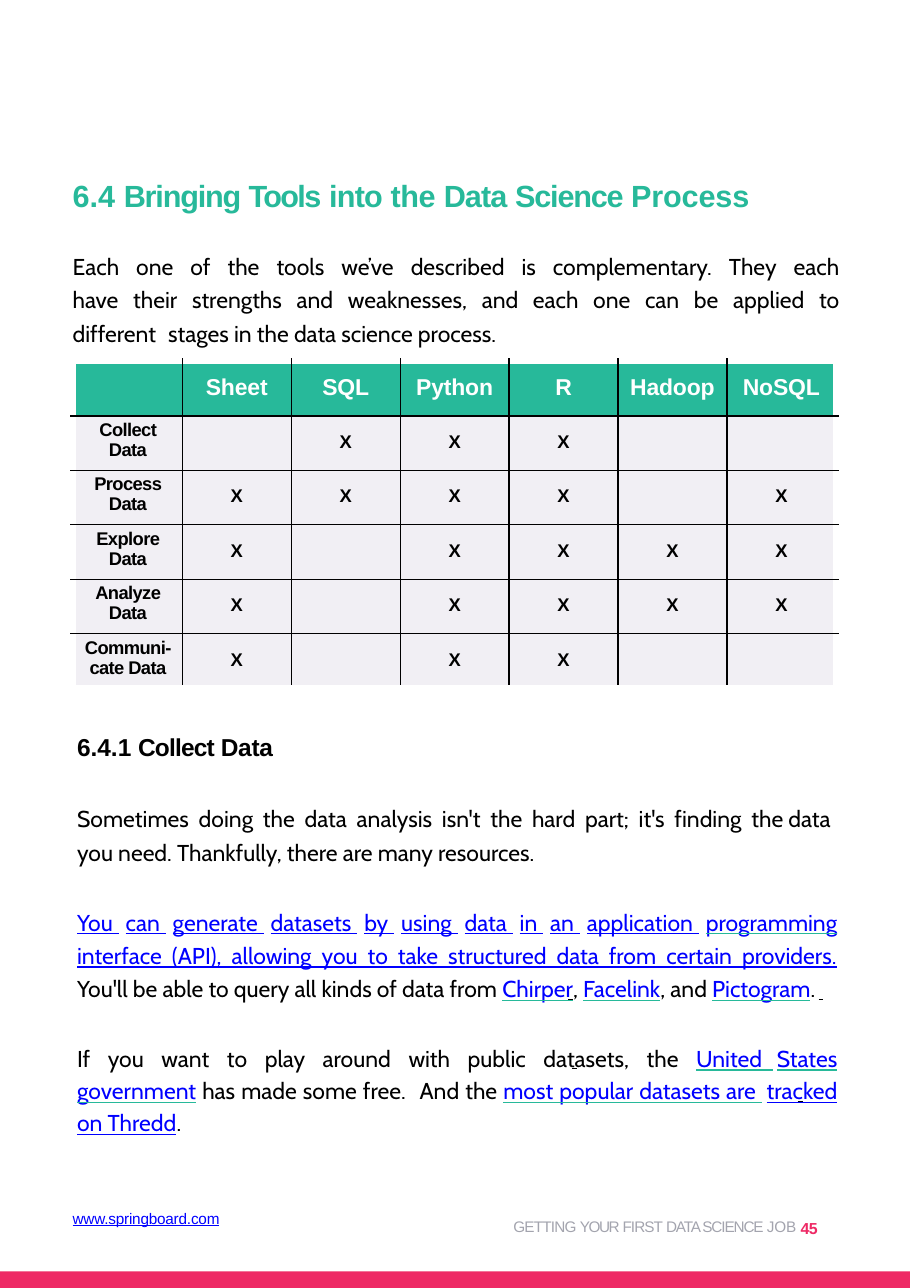
"""Build the handbook page about matching tools to the data science process."""
from dataclasses import dataclass

from lxml.etree import SubElement
from pptx import Presentation
from pptx.dml.color import RGBColor
from pptx.enum.shapes import MSO_CONNECTOR, MSO_SHAPE
from pptx.enum.text import PP_ALIGN
from pptx.oxml import parse_xml
from pptx.oxml.ns import nsdecls, qn
from pptx.util import Pt


@dataclass(frozen=True)
class Theme:
    teal: str = "27B99A"
    pink: str = "EE2965"
    black: str = "000000"
    white: str = "FFFFFF"
    link: str = "0000FF"
    cell: str = "F1EFF4"
    gray: str = "A3A4AE"
    heading_font: str = "Arial"
    body_font: str = "Cabin"
    title_size: float = 20
    subtitle_size: float = 16
    body_size: float = 15
    label_size: float = 12
    footer_size: float = 10
    page_number_size: float = 18


theme = Theme()


def style_paragraph(paragraph, font_name, size, color, bold=False):
    paragraph.font.name = font_name
    paragraph.font.size = Pt(size)
    paragraph.font.bold = bold
    paragraph.font.color.rgb = RGBColor.from_string(color)


def add_text(paragraph, text, spacing=0, gap=None, link=False, underline=None):
    pieces = [(text, spacing)]
    if gap is not None:
        pieces = []
        for index, word in enumerate(text.split(" ")):
            pieces += [(" ", gap)] if index else []
            pieces += [(word, spacing)] if word else []
    for piece, piece_spacing in pieces:
        run = paragraph.add_run()
        run.text = piece
        properties = run.font._element
        properties.set("spc", str(round(piece_spacing * 100)))
        if link:
            run.font.underline = True
            run.font.color.rgb = RGBColor.from_string(theme.link)
        if underline:
            fill = SubElement(SubElement(properties, qn("a:uFill")), qn("a:solidFill"))
            SubElement(fill, qn("a:srgbClr")).set("val", underline)


presentation = Presentation()
presentation.slide_width = Pt(594.72)
presentation.slide_height = Pt(841.68)
slide = presentation.slides.add_slide(presentation.slide_layouts[6])

footer_bar = slide.shapes.add_shape(MSO_SHAPE.RECTANGLE, 0, Pt(830.9), Pt(594.72), Pt(10.78))
footer_bar.shadow.inherit = False
footer_bar.fill.solid()
footer_bar.fill.fore_color.rgb = RGBColor.from_string(theme.pink)
footer_bar.line.fill.background()

frames = {}
for name, left, top, width, height, inset in [
    ("introduction", 47.5, 113.8, 501, 113, 1.5),
    ("collect", 50.4, 476.6, 496.8, 245, 1.5),
    ("page", 335.5, 787.7, 212, 18, 0),
    ("website", 47.5, 788.4, 103, 15, 1.5),
]:
    frame = slide.shapes.add_textbox(Pt(left), Pt(top), Pt(width), Pt(height)).text_frame
    frame.word_wrap = True
    frame.margin_left = frame.margin_right = frame.margin_bottom = 0
    frame.margin_top = Pt(inset)
    frames[name] = frame

title = frames["introduction"].paragraphs[0]
style_paragraph(title, theme.heading_font, theme.title_size, theme.teal, True)
for text, spacing in [("6.4 ", 0), ("Bringing ", -0.8), ("Tools", -1.1), (" into ", -0.5),
                      ("the ", -0.3), ("Data ", -0.6), ("Science ", -0.8), ("Process", -0.1)]:
    add_text(title, text, spacing)

subtitle = frames["collect"].paragraphs[0]
style_paragraph(subtitle, theme.heading_font, theme.subtitle_size, theme.black, True)
for text, spacing in [("6.4.1 ", 0), ("Collect ", -0.5), ("Data", -0.2)]:
    add_text(subtitle, text, spacing)

linked = {"link": True}
teal_link = {"link": True, "underline": theme.teal}
body_paragraphs = [
    ("introduction", PP_ALIGN.JUSTIFY, 1.22, 21.5, [
        ("Each one of the tools we’ve described is complementary. They each have "
         "their strengths and weaknesses, and each one can be applied to different ", {"gap": 4.4}),
        ("stages in the data science process.", {}),
    ]),
    ("collect", PP_ALIGN.LEFT, 1.21, 25, [
        ("Sometimes doing the data analysis isn't the hard part; it's finding ", {"gap": 3}),
        ("the data you need. Thankfully, there are many resources.", {}),
    ]),
    ("collect", PP_ALIGN.JUSTIFY, 1.21, 24, [
        ("You can generate datasets by using data in an application ", {"gap": 4.4, **linked}),
        ("programming ", teal_link),
        ("interface (API), allowing you to take structured data from certain providers.", linked),
        (" You'll be able to query all kinds of data from ", {}),
        ("Chirper", teal_link),
        (", ", {}),
        ("Facelink", teal_link),
        (", and ", {}),
        ("Pictogram", teal_link),
        (".", {}),
    ]),
    ("collect", PP_ALIGN.JUSTIFY, 1.17, 24.5, [
        ("If you want to play around with public datasets, the ", {"gap": 4.4}),
        ("United States ", {"gap": 2.5, **teal_link}),
        ("government", teal_link),
        (" has made some free.", {}),
        (" ", {"spacing": 5}),
        ("And the ", {}),
        ("most popular datasets are", teal_link),
        (" ", {"spacing": 3, **teal_link}),
        ("tracked on Thredd", linked),
        (".", {}),
    ]),
]
for box, alignment, line_spacing, space_before, segments in body_paragraphs:
    paragraph = frames[box].add_paragraph()
    paragraph.alignment = alignment
    paragraph.line_spacing = line_spacing
    paragraph.space_before = Pt(space_before)
    style_paragraph(paragraph, theme.body_font, theme.body_size, theme.black)
    for text, options in segments:
        add_text(paragraph, text, **options)

for left, top, length in [(521.3, 720, 3.4), (373.8, 698.5, 3.2), (535, 653, 3), (371.5, 653, 3)]:
    dash = slide.shapes.add_connector(
        MSO_CONNECTOR.STRAIGHT, Pt(left), Pt(top), Pt(left + length), Pt(top))
    dash.line.width = Pt(0.75)
    dash.line.color.rgb = RGBColor.from_string(theme.black)
    SubElement(dash._element.spPr, qn("a:effectLst"))

tool_rows = [
    ["", "Sheet", "SQL", "Python", "R", "Hadoop", "NoSQL"],
    ["Collect Data", "", "X", "X", "X", "", ""],
    ["Process Data", "X", "X", "X", "X", "", "X"],
    ["Explore Data", "X", "", "X", "X", "X", "X"],
    ["Analyze Data", "X", "", "X", "X", "X", "X"],
    ["Communi- cate Data", "X", "", "X", "X", "", ""],
]
column_width, row_height = 71.2, 35.6
last_row, last_column = len(tool_rows) - 1, len(tool_rows[0]) - 1
table = slide.shapes.add_table(
    last_row + 1, last_column + 1, Pt(48), Pt(236.2),
    Pt(column_width * (last_column + 1)), Pt(row_height * (last_row + 1))).table
table.first_row = table.horz_banding = False
for column in table.columns:
    column.width = Pt(column_width)
for row_index, values in enumerate(tool_rows):
    table.rows[row_index].height = Pt(row_height)
    for column_index, value in enumerate(values):
        is_header, is_label = row_index == 0, column_index == 0
        cell = table.cell(row_index, column_index)
        cell.margin_left = cell.margin_right = Pt(4 if is_label else 0)
        cell.margin_top = Pt(8.4 if is_header else 3 if is_label else 10.3)
        cell.margin_bottom = 0
        cell.fill.solid()
        cell.fill.fore_color.rgb = RGBColor.from_string(theme.teal if is_header else theme.cell)
        paragraph = cell.text_frame.paragraphs[0]
        paragraph.alignment = PP_ALIGN.CENTER
        style_paragraph(paragraph, theme.heading_font,
                        theme.body_size if is_header else theme.label_size,
                        theme.white if is_header else theme.black, True)
        if is_label:
            paragraph.line_spacing = 0.97
        if value:
            add_text(paragraph, value, -0.1 if is_header else -0.4 if is_label else 0)
        edges = [("lnL", is_label), ("lnR", column_index == last_column),
                 ("lnT", is_header), ("lnB", row_index == last_row)]
        for position, (tag, is_outer) in enumerate(edges):
            color, width = (theme.white, 4.5) if is_outer else (theme.black, 1)
            cell._tc.get_or_add_tcPr().insert(position, parse_xml(
                f'<a:{tag} {nsdecls("a")} w="{Pt(width)}"><a:solidFill>'
                f'<a:srgbClr val="{color}"/></a:solidFill></a:{tag}>'))

page_line = frames["page"].paragraphs[0]
style_paragraph(page_line, theme.heading_font, theme.footer_size, theme.gray)
for text, spacing in [("GETTING ", -0.5), ("YOUR ", -0.9), ("FIRST ", -0.6),
                      ("DATA SCIENCE ", -0.7), ("JOB ", 0), ("45", -0.4)]:
    add_text(page_line, text, spacing)
page_number = page_line.runs[-1].font
page_number.size = Pt(theme.page_number_size)
page_number.bold = True
page_number.color.rgb = RGBColor.from_string(theme.pink)
page_number._element.set("baseline", "-7000")

website = frames["website"].paragraphs[0]
style_paragraph(website, theme.heading_font, theme.footer_size, theme.link)
add_text(website, "www.springboard.com", -0.1, link=True)

presentation.save("out.pptx")
